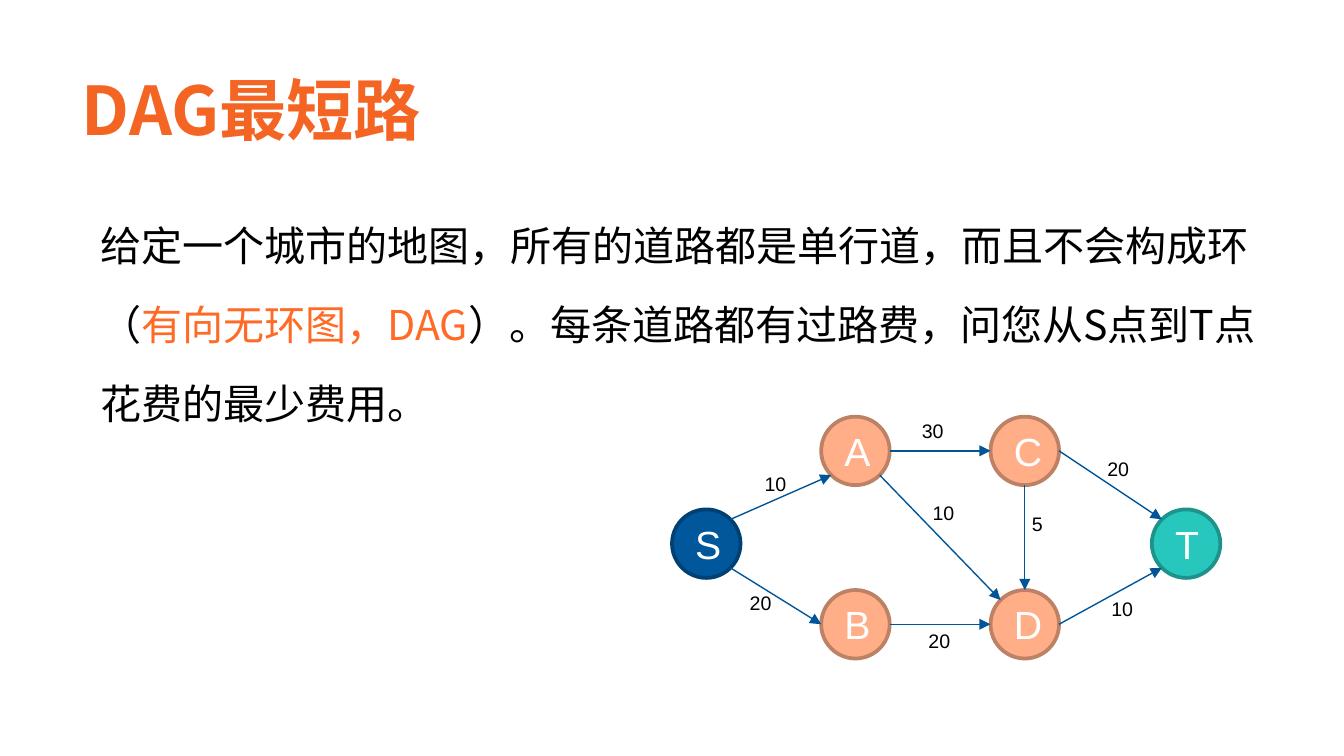
from math import cos, radians, sin

from lxml import etree
from pptx import Presentation
from pptx import util as u
from pptx.dml.color import RGBColor
from pptx.enum import shapes, text
from pptx.oxml import ns

SLIDE_WIDTH = 10
SLIDE_HEIGHT = SLIDE_WIDTH * 9 / 16

COLORS = {
    "title": "F46524", "body": "000000", "accent": "FF6B26", "edge": "005599",
    "node_text": "FFFFFF",
    "start": "01579B", "start_line": "014073",
    "middle": "FFAE88", "middle_line": "BD8165",
    "end": "27C7BD", "end_line": "1D938C",
}
CJK_FONT, LATIN_FONT = "Noto Sans CJK SC", "Arial"

TITLE = [("DAG最短路", "title")]
BODY = [
    ("给定一个城市的地图，所有的道路都是单行道，而且不会构成环（", "body"),
    ("有向无环图，DAG", "accent"),
    ("）。每条道路都有过路费，问您从S点到T点花费的最少费用。", "body"),
]

COLUMNS = [5, 6.11, 7.37, 8.57]
ROWS = [3.1, 3.79, 4.39]
DIAMETER = 0.51
NODES = {
    "S": (0, 1, "start"),
    "A": (1, 0, "middle"),
    "B": (1, 2, "middle"),
    "C": (2, 0, "middle"),
    "D": (2, 2, "middle"),
    "T": (3, 1, "end"),
}
ANGLES = {"right": 0, "lower right": 45, "bottom": 90, "lower left": 135,
          "left": 180, "upper left": 225, "top": 270, "upper right": 315}
EDGES = [
    ("S", "upper right", "A", "lower left", "10", (5.59, 3.46)),
    ("S", "lower right", "B", "left", "20", (5.48, 4.35)),
    ("A", "right", "C", "left", "30", (6.76, 3.07)),
    ("A", "lower right", "D", "upper left", "10", (6.84, 3.68)),
    ("C", "bottom", "D", "top", "5", (7.58, 3.76)),
    ("B", "right", "D", "left", "20", (6.81, 4.63)),
    ("C", "right", "T", "upper left", "20", (8.14, 3.35)),
    ("D", "right", "T", "lower left", "10", (8.17, 4.39)),
]


def color(name):
    return RGBColor.from_string(COLORS[name])


def inches(*values):
    return [u.Inches(value) for value in values]


def style_run(run, size, font, color_name, bold=False):
    run.font.size = u.Pt(size)
    run.font.name = font
    run.font.bold = bold
    run.font.color.rgb = color(color_name)
    east_asian = etree.SubElement(run._r.get_or_add_rPr(), ns.qn("a:ea"))
    east_asian.set("typeface", font)


def fill_placeholder(placeholder, box, runs, size, bold, line_spacing, space_after):
    placeholder.left, placeholder.top, placeholder.width, placeholder.height = inches(*box)
    frame = placeholder.text_frame
    frame.word_wrap = True
    frame.auto_size = text.MSO_AUTO_SIZE.NONE
    frame.vertical_anchor = text.MSO_ANCHOR.TOP
    frame.margin_left = frame.margin_top = u.Inches(0.1)
    frame.margin_right = frame.margin_bottom = u.Inches(0.1)
    paragraph = frame.paragraphs[0]
    paragraph.alignment = text.PP_ALIGN.LEFT
    paragraph.line_spacing = line_spacing
    paragraph.space_before = u.Pt(0)
    paragraph.space_after = u.Pt(space_after)
    properties = paragraph._p.get_or_add_pPr()
    properties.set("marL", "0")
    properties.set("indent", "0")
    etree.SubElement(properties, ns.qn("a:buNone"))
    for words, color_name in runs:
        run = paragraph.add_run()
        run.text = words
        style_run(run, size, CJK_FONT, color_name, bold)


def add_node(group, name, column, row, role):
    node = group.shapes.add_shape(
        shapes.MSO_SHAPE.OVAL, *inches(COLUMNS[column], ROWS[row], DIAMETER, DIAMETER))
    node.shadow.inherit = False
    node.fill.solid()
    node.fill.fore_color.rgb = color(role)
    node.line.color.rgb = color(role + "_line")
    node.line.width = u.Pt(2)
    node.text_frame.text = name
    node.text_frame.vertical_anchor = text.MSO_ANCHOR.MIDDLE
    paragraph = node.text_frame.paragraphs[0]
    paragraph.alignment = text.PP_ALIGN.CENTER
    style_run(paragraph.runs[0], 21, LATIN_FONT, "node_text")


def rim_point(name, side):
    column, row, _ = NODES[name]
    radius, angle = DIAMETER / 2, radians(ANGLES[side])
    return (COLUMNS[column] + radius * (1 + cos(angle)),
            ROWS[row] + radius * (1 + sin(angle)))


def add_edge(group, source, source_side, target, target_side, cost, label_at):
    edge = group.shapes.add_connector(
        shapes.MSO_CONNECTOR.STRAIGHT,
        *inches(*rim_point(source, source_side), *rim_point(target, target_side)))
    edge.line.color.rgb = color("edge")
    edge.line.width = u.Pt(0.75)
    arrowhead = etree.SubElement(edge.line._get_or_add_ln(), ns.qn("a:tailEnd"))
    arrowhead.set("type", "triangle")
    etree.SubElement(edge._element.spPr, ns.qn("a:effectLst"))

    label = group.shapes.add_textbox(*inches(*label_at, 0.59, 0.28))
    frame = label.text_frame
    frame.word_wrap = True
    frame.auto_size = text.MSO_AUTO_SIZE.SHAPE_TO_FIT_TEXT
    frame.text = cost
    style_run(frame.paragraphs[0].runs[0], 10.5, LATIN_FONT, "body")


def main():
    presentation = Presentation()
    presentation.slide_width, presentation.slide_height = inches(SLIDE_WIDTH, SLIDE_HEIGHT)
    slide = presentation.slides.add_slide(presentation.slide_layouts[1])
    fill_placeholder(slide.shapes.title, (0.51, 0.41, 6.91, 0.69), TITLE, 36, True, 1, 16)
    fill_placeholder(slide.placeholders[1], (0.65, 1.32, 8.99, 3.28), BODY, 22, False, 1.6, 0)
    graph = slide.shapes.add_group_shape()
    for name, place in NODES.items():
        add_node(graph, name, *place)
    for edge in EDGES:
        add_edge(graph, *edge)
    presentation.save("out.pptx")


if __name__ == "__main__":
    main()
